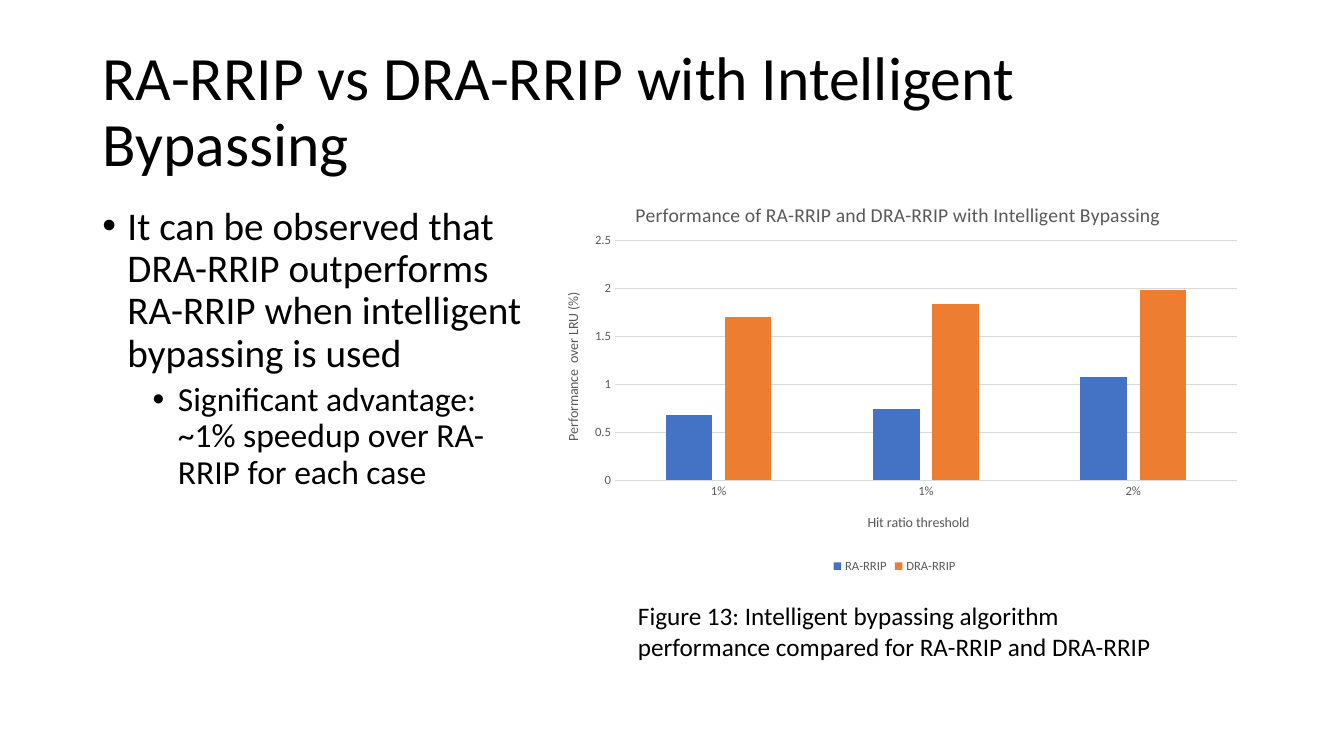
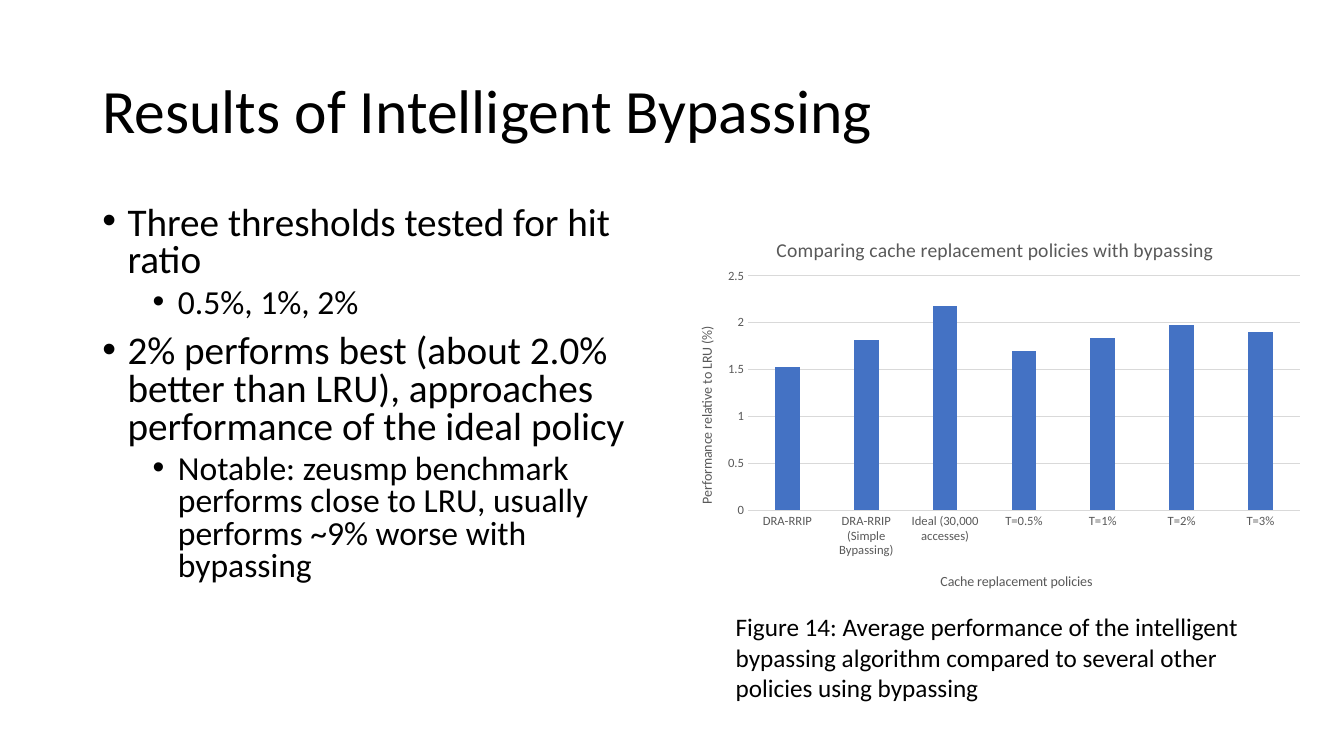
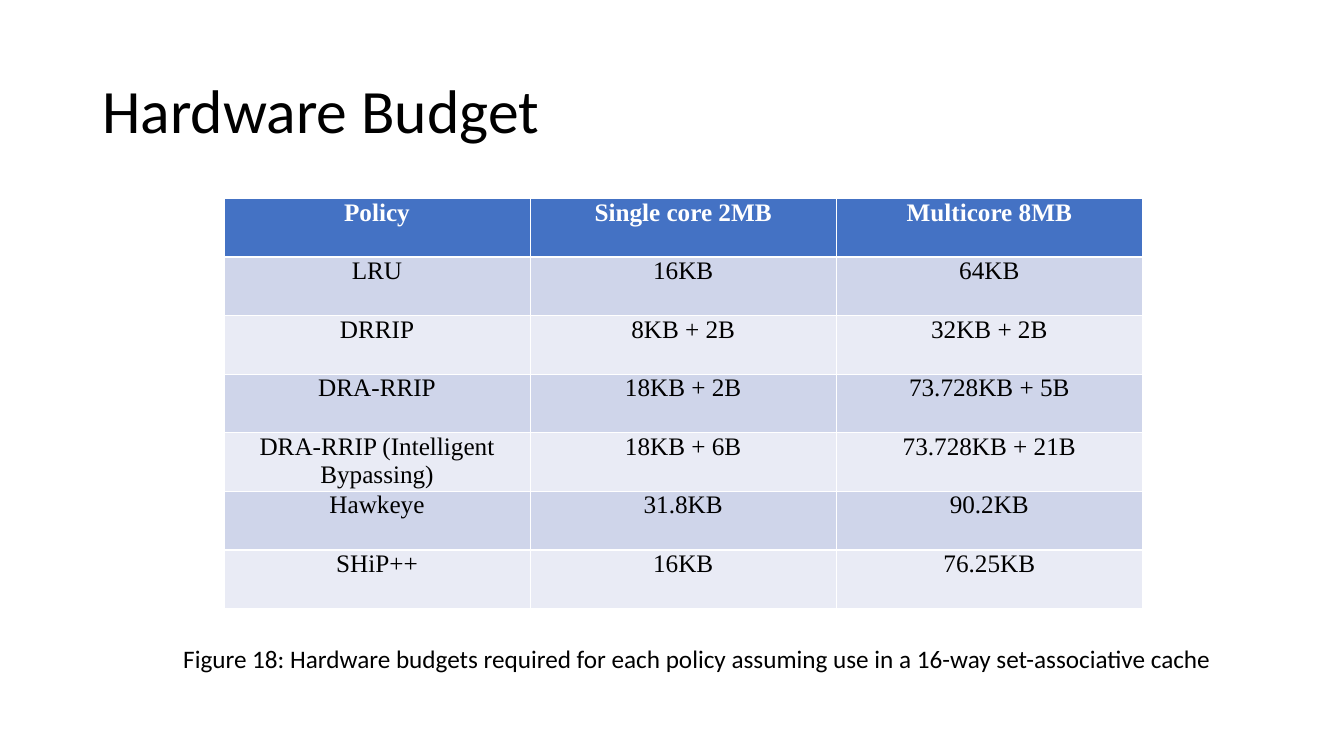
import pptx
import pptx.chart.data
import pptx.dml.color
import pptx.enum.chart
import pptx.enum.text
import pptx.oxml
import pptx.oxml.ns
import pptx.util
import lxml.etree

Pt = pptx.util.Pt
qn = pptx.oxml.ns.qn
ALIGN = pptx.enum.text.PP_ALIGN
ANCHOR = pptx.enum.text.MSO_ANCHOR
AUTO_SIZE = pptx.enum.text.MSO_AUTO_SIZE

BLACK, WHITE, GRAY, GRID = "000000", "FFFFFF", "595959", "D9D9D9"
BLUE, ORANGE, BANDS = "4472C4", "ED7D31", ("E9EBF5", "CFD5EA")
SANS, SERIF = "Calibri", "Times New Roman"
TITLE_BOX = (66, 28.75, 828, 104.38)
TITLE_FONT = {"name": SANS, "size": Pt(44), "color": BLACK}
CAPTION_FONT = {"name": SANS, "size": Pt(18), "color": BLACK}
CHART_TITLE_FONT = {"name": SANS, "size": Pt(14), "bold": False, "color": GRAY}
AXIS_TITLE_FONT = {**CHART_TITLE_FONT, "size": Pt(10)}
LABEL_FONT = {**CHART_TITLE_FONT, "size": Pt(9)}
BULLET_LEVELS = [
    {"size": 28, "margin": 18, "before": 10},
    {"size": 24, "margin": 54, "before": 5},
]

CHART_SLIDES = [
    {
        "title": "RA-RRIP vs DRA-RRIP with Intelligent Bypassing",
        "bullets_box": (66, 143.75, 319, 332.6),
        "spacing": 0.9,
        "bullets": [
            (0, "It can be observed that DRA-RRIP outperforms RA-RRIP when intelligent bypassing is used"),
            (1, "Significant advantage: ~1% speedup over RA-RRIP for each case"),
        ],
        "chart": {
            "box": (384.5, 126.7, 509, 285.8),
            "plot": (439.3, 171.8, 444.3, 171.4),
            "title": ("Performance of RA-RRIP and DRA-RRIP with Intelligent Bypassing", (451.4, 141)),
            "category_title": ("Hit ratio threshold", (617.9, 365)),
            "value_title": ("Performance  over LRU (%)", (401, 207)),
            "categories": [0.005, 0.01, 0.02],
            "category_format": "0%",
            "series": [
                ("RA-RRIP", [0.68, 0.74, 1.08], BLUE),
                ("DRA-RRIP", [1.7, 1.84, 1.98], ORANGE),
            ],
        },
        "caption": "Figure 13: Intelligent bypassing algorithm performance compared for RA-RRIP and DRA-RRIP",
        "caption_box": (448.6, 425.5, 380.9, 50.9),
    },
    {
        "title": "Results of Intelligent Bypassing",
        "bullets_box": (66, 143.75, 414, 298.8),
        "spacing": 0.8,
        "bullets": [
            (0, "Three thresholds tested for hit ratio"),
            (1, "0.5%, 1%, 2%"),
            (0, "2% performs best (about 2.0% better than LRU), approaches performance of the ideal policy"),
            (1, "Notable: zeusmp benchmark performs close to LRU, usually performs ~9% worse with bypassing"),
        ],
        "chart": {
            "box": (480.2, 152.6, 457.9, 280.8),
            "plot": (534.3, 197.1, 394.3, 167.3),
            "title": ("Comparing cache replacement policies with bypassing", (552.1, 166.4)),
            "category_title": ("Cache replacement policies", (670, 407)),
            "value_title": ("Performance relative to LRU (%)", (496.5, 231.4)),
            "categories": ["DRA-RRIP", "DRA-RRIP (Simple Bypassing)", "Ideal (30,000 accesses)",
                           "T=0.5%", "T=1%", "T=2%", "T=3%"],
            "category_format": "General",
            "series": [("Series 1", [1.53, 1.82, 2.18, 1.7, 1.84, 1.98, 1.9], BLUE)],
        },
        "caption": "Figure 14: Average performance of the intelligent bypassing algorithm "
                   "compared to several other policies using bypassing",
        "caption_box": (518.4, 433.4, 380.9, 72.7),
    },
]

BUDGET_TITLE = "Hardware Budget"
BUDGET_BOX = (160, 141.8, 656, 293)
BUDGET_ROWS = [
    ("Policy", "Single core 2MB", "Multicore 8MB"),
    ("LRU", "16KB", "64KB"),
    ("DRRIP", "8KB + 2B", "32KB + 2B"),
    ("DRA-RRIP", "18KB + 2B", "73.728KB + 5B"),
    ("DRA-RRIP (Intelligent Bypassing)", "18KB + 6B", "73.728KB + 21B"),
    ("Hawkeye", "31.8KB", "90.2KB"),
    ("SHiP++", "16KB", "76.25KB"),
]
BUDGET_CAPTION = "Figure 18: Hardware budgets required for each policy assuming use in a 16-way set-associative cache"
BUDGET_CAPTION_BOX = (123.8, 455.8, 757.4, 29.1)


def colour(value):
    return pptx.dml.color.RGBColor.from_string(value)


def assign(target, values):
    for name, value in values.items():
        setattr(target, name, value)


def format_font(font, values):
    assign(font, {name: value for name, value in values.items() if name != "color"})
    font.color.rgb = colour(values["color"])


def fill_solid(fill, value):
    fill.solid()
    fill.fore_color.rgb = colour(value)


def points(box):
    return [Pt(length) for length in box]


def add_titled_slide(presentation, text):
    slide = presentation.slides.add_slide(presentation.slide_layouts[5])
    title = slide.shapes.title
    assign(title, dict(zip(("left", "top", "width", "height"), points(TITLE_BOX))))
    assign(title.text_frame, {"text": text, "word_wrap": True, "auto_size": AUTO_SIZE.NONE,
                              "vertical_anchor": ANCHOR.MIDDLE})
    paragraph = title.text_frame.paragraphs[0]
    assign(paragraph, {"alignment": ALIGN.LEFT, "line_spacing": 0.9})
    format_font(paragraph.runs[0].font, TITLE_FONT)
    return slide


def add_caption(slide, text, box, wrap=True):
    frame = slide.shapes.add_textbox(*points(box)).text_frame
    assign(frame, {"text": text, "word_wrap": wrap, "auto_size": AUTO_SIZE.SHAPE_TO_FIT_TEXT})
    format_font(frame.paragraphs[0].runs[0].font, CAPTION_FONT)


def add_bullets(slide, bullets, box, spacing):
    frame = slide.shapes.add_textbox(*points(box)).text_frame
    frame.word_wrap = True
    for index, (level, text) in enumerate(bullets):
        style = BULLET_LEVELS[level]
        paragraph = frame.add_paragraph() if index else frame.paragraphs[0]
        assign(paragraph, {"text": text, "level": level, "line_spacing": spacing,
                           "space_before": Pt(style["before"])})
        format_font(paragraph.runs[0].font, {"name": SANS, "size": Pt(style["size"]), "color": BLACK})
        properties = paragraph._p.get_or_add_pPr()
        properties.set("marL", str(Pt(style["margin"])))
        properties.set("indent", str(Pt(-18)))
        lxml.etree.SubElement(properties, qn("a:buFont")).set("typeface", "Arial")
        lxml.etree.SubElement(properties, qn("a:buChar")).set("char", "•")


def place(element, index, box, chart_box):
    for old in element.findall(qn("c:layout")):
        element.remove(old)
    layout = pptx.oxml.parse_xml(
        '<c:layout xmlns:c="http://schemas.openxmlformats.org/drawingml/2006/chart"><c:manualLayout/></c:layout>')
    left, top, width, height = chart_box
    fractions = [(box[0] - left) / width, (box[1] - top) / height]
    settings = [("xMode", "edge"), ("yMode", "edge"), ("x", fractions[0]), ("y", fractions[1])]
    if len(box) == 4:
        settings.insert(0, ("layoutTarget", "inner"))
        settings += [("w", box[2] / width), ("h", box[3] / height)]
    for name, value in settings:
        lxml.etree.SubElement(layout[0], qn("c:" + name)).set("val", str(value))
    element.insert(index, layout)


def write_chart_title(title, content, font, chart_box):
    text, position = content
    title.text_frame.text = text
    format_font(title.text_frame.paragraphs[0].runs[0].font, font)
    place(title._element, 1, position, chart_box)


def add_column_chart(slide, content):
    box = content["box"]
    data = pptx.chart.data.CategoryChartData()
    data.categories = content["categories"]
    data.categories.number_format = content["category_format"]
    for name, values, _ in content["series"]:
        data.add_series(name, values)
    kind = pptx.enum.chart.XL_CHART_TYPE.COLUMN_CLUSTERED
    chart = slide.shapes.add_chart(kind, *points(box), data).chart
    format_font(chart.font, LABEL_FONT)

    chart.has_title = True
    write_chart_title(chart.chart_title, content["title"], CHART_TITLE_FONT, box)
    for axis, key in ((chart.category_axis, "category_title"), (chart.value_axis, "value_title")):
        no_tick = pptx.enum.chart.XL_TICK_MARK.NONE
        assign(axis, {"has_title": True, "major_tick_mark": no_tick, "minor_tick_mark": no_tick})
        write_chart_title(axis.axis_title, content[key], AXIS_TITLE_FONT, box)
        format_font(axis.tick_labels.font, LABEL_FONT)
    assign(chart.category_axis.tick_labels,
           {"number_format": content["category_format"], "number_format_is_linked": False})
    rotation = chart.value_axis.axis_title.text_frame._txBody.bodyPr
    rotation.set("rot", "-5400000")
    rotation.set("vert", "horz")
    chart.value_axis.has_major_gridlines = True
    for line in (chart.category_axis.format.line, chart.value_axis.major_gridlines.format.line):
        line.color.rgb = colour(GRID)
        line.width = Pt(0.75)
    chart.value_axis.format.line.fill.background()
    assign(chart.value_axis, {"minimum_scale": 0, "maximum_scale": 2.5, "major_unit": 0.5})

    plot = chart.plots[0]
    assign(plot, {"gap_width": 219, "overlap": -27, "vary_by_categories": False})
    for series, (_, _, value) in zip(plot.series, content["series"]):
        fill_solid(series.format.fill, value)
    chart.has_legend = len(content["series"]) > 1
    if chart.has_legend:
        assign(chart.legend, {"position": pptx.enum.chart.XL_LEGEND_POSITION.BOTTOM,
                              "include_in_layout": False})
        format_font(chart.legend.font, LABEL_FONT)
    place(chart._chartSpace.chart.plotArea, 0, content["plot"], box)


def add_budget_table(slide):
    shape = slide.shapes.add_table(len(BUDGET_ROWS), len(BUDGET_ROWS[0]), *points(BUDGET_BOX))
    for row_index, row in enumerate(BUDGET_ROWS):
        header = row_index == 0
        for column_index, text in enumerate(row):
            cell = shape.table.cell(row_index, column_index)
            assign(cell, {"text": text, "margin_left": Pt(5), "margin_right": Pt(5),
                          "margin_top": Pt(0), "margin_bottom": Pt(0)})
            fill_solid(cell.fill, BLUE if header else BANDS[row_index % 2])
            paragraph = cell.text_frame.paragraphs[0]
            paragraph.alignment = ALIGN.CENTER
            format_font(paragraph.runs[0].font, {"name": SERIF, "size": Pt(18), "bold": header,
                                                 "color": WHITE if header else BLACK})


presentation = pptx.Presentation()
assign(presentation, {"slide_width": Pt(960), "slide_height": Pt(540)})
for content in CHART_SLIDES:
    slide = add_titled_slide(presentation, content["title"])
    add_bullets(slide, content["bullets"], content["bullets_box"], content["spacing"])
    add_column_chart(slide, content["chart"])
    add_caption(slide, content["caption"], content["caption_box"])

budget_slide = add_titled_slide(presentation, BUDGET_TITLE)
add_budget_table(budget_slide)
add_caption(budget_slide, BUDGET_CAPTION, BUDGET_CAPTION_BOX, wrap=False)
presentation.save("out.pptx")
